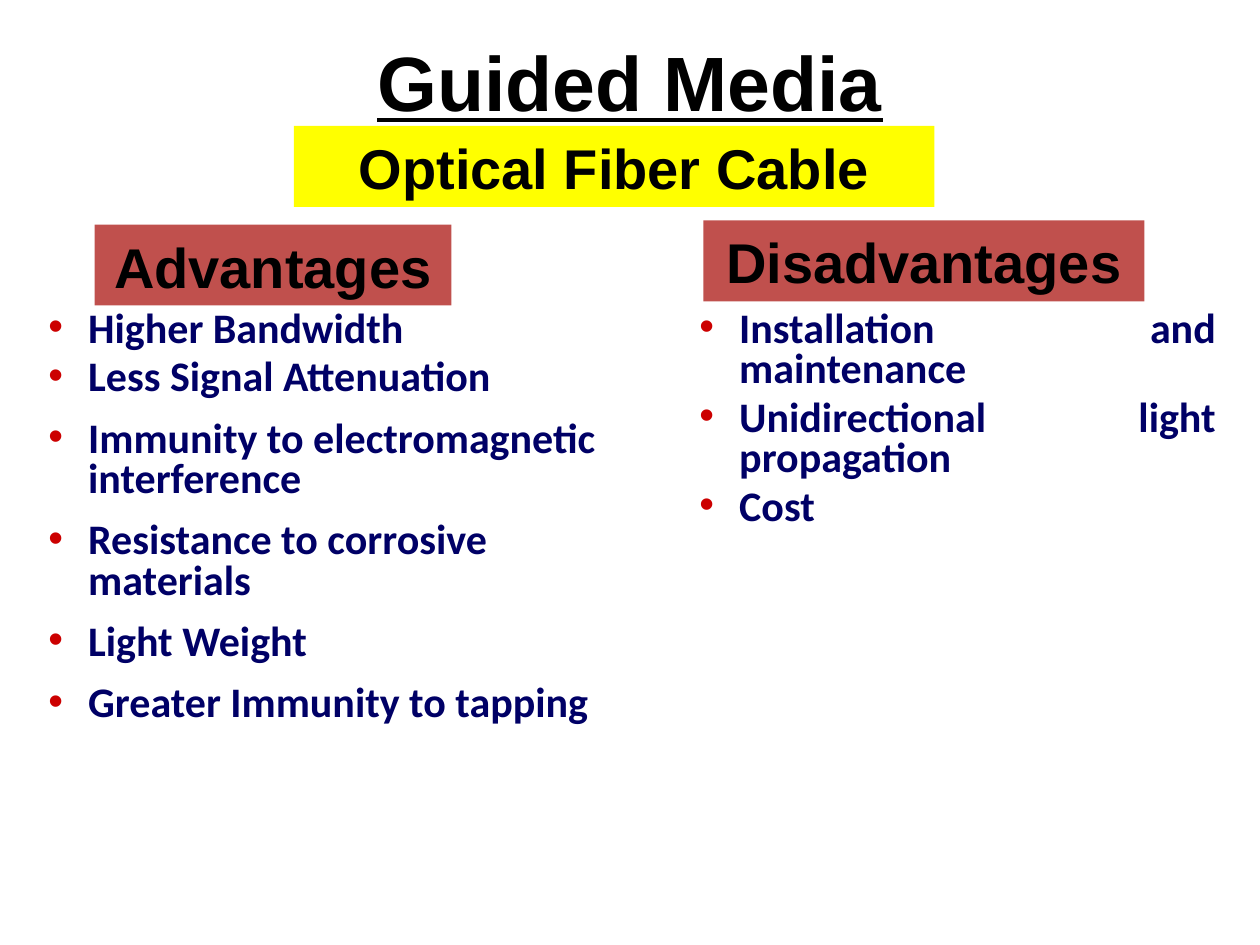
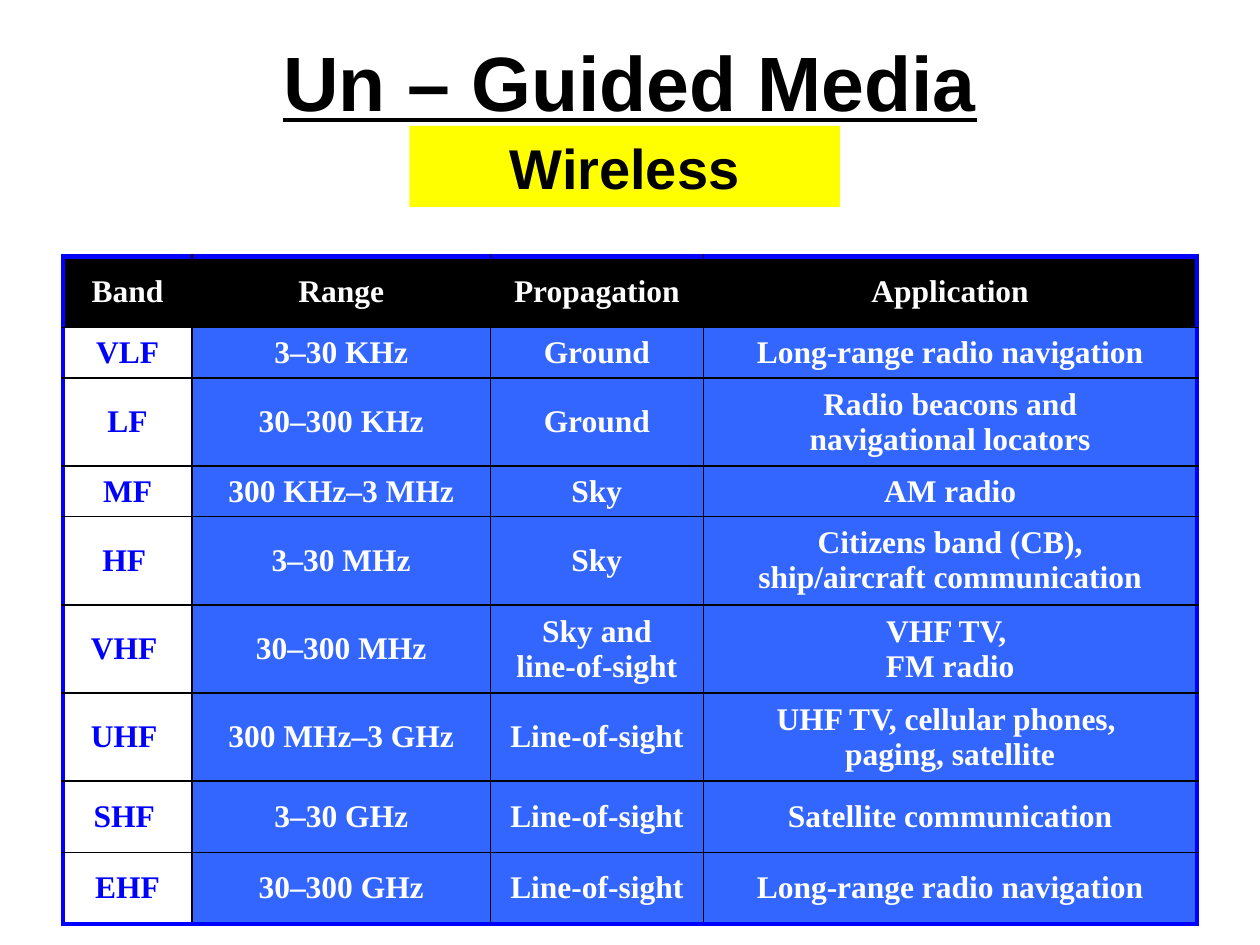
"""Two slides on guided and unguided transmission media."""
from lxml import etree
from pptx import Presentation
from pptx import util as u
from pptx.dml.color import RGBColor
from pptx.enum import shapes, text
from pptx.oxml import ns

PX = 7620
BLACK = RGBColor(0x00, 0x00, 0x00)
WHITE = RGBColor(0xFF, 0xFF, 0xFF)
YELLOW = RGBColor(0xFF, 0xFF, 0x00)
BRICK = RGBColor(0xC0, 0x50, 0x4D)
NAVY = RGBColor(0x00, 0x00, 0x66)
RED = RGBColor(0xCC, 0x00, 0x00)
BLUE = RGBColor(0x00, 0x00, 0xFF)
CELL_BLUE = RGBColor(0x33, 0x66, 0xFF)

TWO_LISTS, TITLE_ONLY = 3, 5
HEADER_ROW, LOW_ROW, TALL_ROW = 68, 48, 84
TIGHT, LOOSE = 4.8, 12
JUSTIFY, LEFT = text.PP_ALIGN.JUSTIFY, text.PP_ALIGN.LEFT

ADVANTAGES = [
    ("Higher Bandwidth", JUSTIFY, TIGHT),
    ("Less Signal Attenuation", JUSTIFY, TIGHT),
    ("Immunity to electromagnetic interference", LEFT, LOOSE),
    ("Resistance to corrosive materials", LEFT, LOOSE),
    ("Light Weight", LEFT, LOOSE),
    ("Greater Immunity to tapping", LEFT, LOOSE),
]
DISADVANTAGES = [
    ("Installation and maintenance", JUSTIFY, TIGHT),
    ("Unidirectional light propagation", JUSTIFY, TIGHT),
    ("Cost", JUSTIFY, TIGHT),
]
BAND_WIDTHS = [123, 284, 203, 470]
BANDS = [
    (HEADER_ROW, "Band", "Range", "Propagation", "Application"),
    (LOW_ROW, "VLF", "3–30 KHz", "Ground", "Long-range radio navigation"),
    (TALL_ROW, "LF", "30–300 KHz", "Ground", "Radio beacons and\nnavigational locators"),
    (LOW_ROW, "MF", "300 KHz–3 MHz", "Sky", "AM radio"),
    (TALL_ROW, "HF ", "3–30 MHz", "Sky", "Citizens band (CB),\nship/aircraft communication"),
    (TALL_ROW, "VHF ", "30–300 MHz", "Sky and\nline-of-sight", "VHF TV, \nFM radio"),
    (TALL_ROW, "UHF ", "300 MHz–3 GHz", "Line-of-sight",
     "UHF TV, cellular phones, \npaging, satellite"),
    (HEADER_ROW, "SHF ", "3–30 GHz", "Line-of-sight", "Satellite communication"),
    (HEADER_ROW, "EHF", "30–300 GHz", "Line-of-sight", "Long-range radio navigation"),
]


class MediaDeck:
    """Holds the style of the deck and the current slide."""

    def __init__(self):
        self.deck = Presentation()
        self.deck.slide_width, self.deck.slide_height = 1200 * PX, 900 * PX
        self.page = None

    def add_words(self, para, words, size, font, color, align, underline=None):
        para.alignment = align
        for number, line in enumerate(words.split("\n")):
            if number:
                para.add_line_break()
            span = para.add_run()
            span.text = line
            span.font.size, span.font.name = u.Pt(size), font
            span.font.bold, span.font.underline = True, underline
            span.font.color.rgb = color

    def place(self, box, left, top, width, height, anchor):
        box.left, box.top = left * PX, top * PX
        box.width, box.height = width * PX, height * PX
        frame = box.text_frame
        frame.auto_size = text.MSO_AUTO_SIZE.NONE
        frame.word_wrap = True
        frame.vertical_anchor = anchor
        return frame

    def start(self, layout, title):
        self.page = self.deck.slides.add_slide(self.deck.slide_layouts[layout])
        frame = self.place(self.page.shapes.title, 90, 20, 1020, 150, text.MSO_ANCHOR.TOP)
        frame.margin_top = 13 * PX
        self.add_words(frame.paragraphs[0], title, 44, "Arial", BLACK,
                       text.PP_ALIGN.CENTER, True)

    def label(self, words, left, top, width, fill):
        box = self.page.shapes.add_shape(shapes.MSO_SHAPE.RECTANGLE, 0, 0, PX, PX)
        box.shadow.inherit = False
        box.fill.solid()
        box.fill.fore_color.rgb = fill
        box.line.fill.background()
        frame = self.place(box, left, top, width, 77, text.MSO_ANCHOR.BOTTOM)
        self.add_words(frame.paragraphs[0], words, 32, "Arial", BLACK, text.PP_ALIGN.CENTER)

    def bullets(self, index, items, left, width):
        frame = self.place(self.page.placeholders[index], left, 290, width, 594,
                           text.MSO_ANCHOR.TOP)
        for number, (words, align, gap) in enumerate(items):
            para = frame.add_paragraph() if number else frame.paragraphs[0]
            para.line_spacing = 0.8
            para.space_before = u.Pt(gap if number else 0)
            props = para._p.get_or_add_pPr()
            props.set("marL", str(52 * PX))
            props.set("indent", str(-38 * PX))
            tint = etree.SubElement(props, ns.qn("a:buClr"))
            etree.SubElement(tint, ns.qn("a:srgbClr"), val=str(RED))
            etree.SubElement(props, ns.qn("a:buFont"), typeface="Arial")
            etree.SubElement(props, ns.qn("a:buChar"), char="•")
            self.add_words(para, words, 24, "Calibri", NAVY, align)

    def borders(self, cell, outer):
        props = cell._tc.get_or_add_tcPr()
        for side in "LRTB":
            color, points = (BLUE, 3) if side in outer else (BLACK, 1)
            line = etree.SubElement(props, ns.qn(f"a:ln{side}"), w=str(u.Pt(points)))
            fill = etree.SubElement(line, ns.qn("a:solidFill"))
            etree.SubElement(fill, ns.qn("a:srgbClr"), val=str(color))

    def table(self, rows, widths, left, top):
        heights = [row[0] for row in rows]
        last_row, last_column = len(rows) - 1, len(widths) - 1
        grid = self.page.shapes.add_table(
            len(rows), len(widths), left * PX, top * PX,
            sum(widths) * PX, sum(heights) * PX).table
        grid.first_row = grid.horz_banding = False
        for column, width in zip(grid.columns, widths):
            column.width = width * PX
        for r, (height, *entries) in enumerate(rows):
            grid.rows[r].height = height * PX
            for c, words in enumerate(entries):
                cell = grid.cell(r, c)
                edges = {"L": c == 0, "R": c == last_column, "T": r == 0, "B": r == last_row}
                self.borders(cell, [side for side, is_outer in edges.items() if is_outer])
                if r == 0:
                    fill, ink = BLACK, WHITE
                elif c == 0:
                    fill, ink = WHITE, BLUE
                else:
                    fill, ink = CELL_BLUE, WHITE
                cell.fill.solid()
                cell.fill.fore_color.rgb = fill
                cell.vertical_anchor = text.MSO_ANCHOR.MIDDLE
                self.add_words(cell.text_frame.paragraphs[0], words, 18, "Times New Roman",
                               ink, text.PP_ALIGN.CENTER)


def main():
    media = MediaDeck()

    media.start(TWO_LISTS, "Guided Media")
    media.label("Optical Fiber Cable", 280, 120, 610, YELLOW)
    media.bullets(1, ADVANTAGES, 20, 570)
    media.bullets(2, DISADVANTAGES, 640, 530)
    media.label("Advantages", 90, 214, 340, BRICK)
    media.label("Disadvantages", 670, 210, 420, BRICK)

    media.start(TITLE_ONLY, "Un – Guided Media")
    media.label("Wireless", 390, 120, 410, YELLOW)
    media.table(BANDS, BAND_WIDTHS, 60, 244)

    media.deck.save("out.pptx")


if __name__ == "__main__":
    main()
